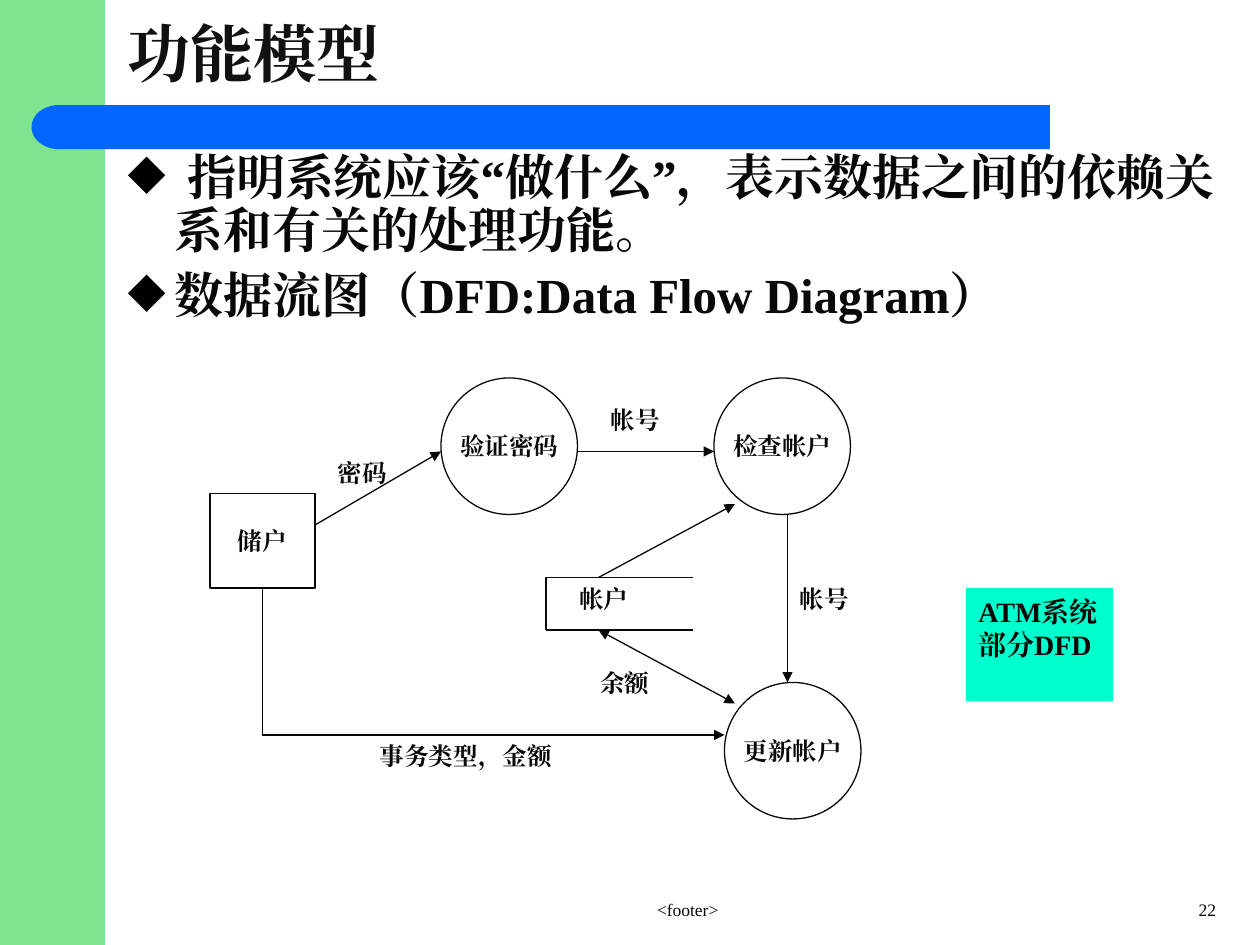
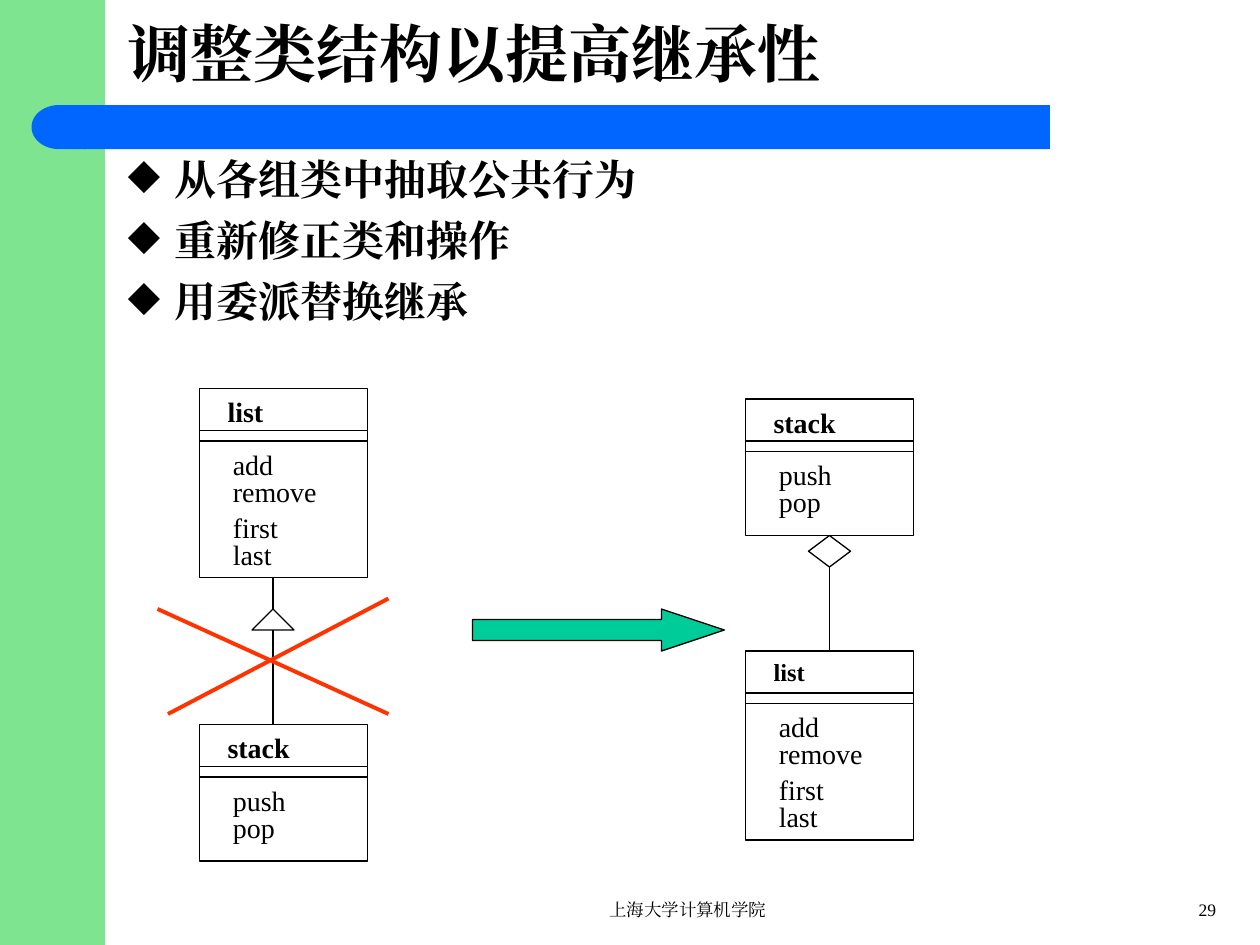
from dataclasses import dataclass

from lxml import etree
from pptx import Presentation
from pptx.dml.color import RGBColor
from pptx.enum.shapes import MSO_CONNECTOR, MSO_SHAPE
from pptx.enum.text import MSO_ANCHOR, PP_ALIGN
from pptx.oxml.ns import qn
from pptx.shapes.autoshape import Shape
from pptx.shapes.connector import Connector
from pptx.slide import Slide
from pptx.util import Cm, Length, Pt

RECT, OVAL = MSO_SHAPE.RECTANGLE, MSO_SHAPE.OVAL
DELAY, TRIANGLE = MSO_SHAPE.FLOWCHART_DELAY, MSO_SHAPE.ISOSCELES_TRIANGLE
DIAMOND, ARROW = MSO_SHAPE.DIAMOND, MSO_SHAPE.RIGHT_ARROW
STRAIGHT = MSO_CONNECTOR.STRAIGHT
LEFT, CENTER, RIGHT = PP_ALIGN.LEFT, PP_ALIGN.CENTER, PP_ALIGN.RIGHT
TOP, MIDDLE = MSO_ANCHOR.TOP, MSO_ANCHOR.MIDDLE

FONT = "Times New Roman"
COLORS = {
    "side": "7EE48F", "band": "0066FF", "heading": "111111", "ink": "080808",
    "black": "000000", "white": "FFFFFF", "note": "00FFCC", "change": "00CC99",
    "cross": "FF3300",
}
UNITS_PER_INCH = 12  # every slide is laid out on a grid of 120 x 90 units
SIDE_TOP, SIDE_BOTTOM = 0, 2

Box = tuple[float, float, float, float]
Point = tuple[float, float]


@dataclass(frozen=True)
class TextStyle:
    size: float
    color: str = "black"
    bold: bool = False
    align: PP_ALIGN = LEFT
    anchor: MSO_ANCHOR = TOP
    wrap: bool = True
    before: float = 0
    line_spacing: float | None = None
    bullet: bool = False


@dataclass(frozen=True)
class Frame:
    title: str
    title_color: str
    points: list[str]
    points_style: TextStyle
    points_height: float
    footer: str
    number: str
    footer_color: str


@dataclass(frozen=True)
class Node:
    name: str
    kind: MSO_SHAPE
    box: Box


@dataclass(frozen=True)
class Flow:
    start: Point
    end: Point
    head: bool = False
    tail: bool = True


@dataclass(frozen=True)
class Label:
    text: str
    left: float
    top: float
    width: float


@dataclass(frozen=True)
class ClassBox:
    name: str
    left: float
    top: float
    height: float
    operations: list[str]
    name_size: float = 16


NODE_STYLE = TextStyle(14, "ink", True, CENTER, MIDDLE, wrap=False)
LABEL_STYLE = TextStyle(14, "ink", True, before=8.8)
NOTE_STYLE = TextStyle(16, "ink", True, before=10)
OPERATION_STYLE = TextStyle(16, before=10)

FUNCTION_FRAME = Frame(
    "功能模型", "heading",
    [" 指明系统应该“做什么”，表示数据之间的依赖关系和有关的处理功能。",
     "数据流图（DFD:Data Flow Diagram）"],
    TextStyle(28, "ink", True, before=7, line_spacing=0.9, bullet=True), 18.2,
    "<footer>", "22", "ink")
INHERITANCE_FRAME = Frame(
    "调整类结构以提高继承性", "black",
    ["从各组类中抽取公共行为", "重新修正类和操作", "用委派替换继承"],
    TextStyle(24, "black", True, before=6, bullet=True), 21,
    "上海大学计算机学院", "29", "black")

CUSTOMER = Node("储户", RECT, (20, 47, 10, 9))
PROCESSES = [
    Node("验证密码", OVAL, (42, 36, 13, 13)),
    Node("检查帐户", OVAL, (68, 36, 13, 13)),
    Node("更新帐户", OVAL, (69, 65, 13, 13)),
]
FLOWS = [
    Flow((30, 50), (42, 43)),
    Flow((55, 43), (68, 43)),
    Flow((57, 55), (70, 48)),
    Flow((75, 49), (75, 65)),
    Flow((25, 70), (69, 70)),
    Flow((57, 60), (70, 67), head=True),
]
ACCOUNT_STORE = [(66, 55), (52, 55), (52, 60), (66, 60)]
FLOW_LABELS = [
    Label("密码", 31, 43, 8),
    Label("帐号", 57, 38, 9),
    Label("帐户", 54, 55, 8),
    Label("帐号", 75, 55, 9),
    Label("余额", 56, 63, 9),
    Label("事务类型，金额", 35, 70, 21),
]

LIST_OPERATIONS = ["add", "remove", "first", "last"]
STACK_OPERATIONS = ["push", "pop"]
OPERATION_OFFSETS = [0, 2.6, 6, 8.6]
CLASS_WIDTH = 16


def grid(units: float) -> Length:
    return Cm(units * 2.54 / UNITS_PER_INCH)


def rgb(color: str) -> RGBColor:
    return RGBColor.from_string(COLORS[color])


def write(shape: Shape, paragraphs: list[str], style: TextStyle) -> None:
    frame = shape.text_frame
    frame.word_wrap = style.wrap
    frame.vertical_anchor = style.anchor
    for index, text in enumerate(paragraphs):
        paragraph = frame.add_paragraph() if index else frame.paragraphs[0]
        paragraph.alignment = style.align
        paragraph.space_before = Pt(style.before)
        if style.line_spacing:
            paragraph.line_spacing = style.line_spacing
        if style.bullet:
            add_bullet(paragraph)
        run = paragraph.add_run()
        run.text = text
        run.font.name = FONT
        run.font.size = Pt(style.size)
        run.font.bold = style.bold
        run.font.color.rgb = rgb(style.color)
        east_asian = etree.SubElement(run.font._element, qn("a:ea"))
        east_asian.set("typeface", FONT)


def add_bullet(paragraph) -> None:
    properties = paragraph._p.get_or_add_pPr()
    properties.set("marL", str(Cm(0.95)))
    properties.set("indent", str(-Cm(0.95)))
    color = etree.SubElement(properties, qn("a:buClr"))
    etree.SubElement(color, qn("a:srgbClr")).set("val", COLORS["black"])
    etree.SubElement(properties, qn("a:buChar")).set("char", "◆")


def add_text(slide: Slide, box: Box, paragraphs: list[str], style: TextStyle) -> None:
    write(slide.shapes.add_textbox(*map(grid, box)), paragraphs, style)


def add_figure(slide: Slide, kind: MSO_SHAPE, box: Box,
               fill: str | None = None, line: str | None = None) -> Shape:
    shape = slide.shapes.add_shape(kind, *map(grid, box))
    shape.shadow.inherit = False
    if fill:
        shape.fill.solid()
        shape.fill.fore_color.rgb = rgb(fill)
    else:
        shape.fill.background()
    if line:
        shape.line.color.rgb = rgb(line)
        shape.line.width = Pt(0.75)
    else:
        shape.line.fill.background()
    return shape


def add_line(slide: Slide, start: Point, end: Point, color: str = "black",
             width: float = 0.75, head: bool = False, tail: bool = False) -> Connector:
    line = slide.shapes.add_connector(STRAIGHT, *map(grid, (*start, *end)))
    line.line.color.rgb = rgb(color)
    line.line.width = Pt(width)
    outline = line.line._get_or_add_ln()
    for tag, wanted in (("a:headEnd", head), ("a:tailEnd", tail)):
        if wanted:
            etree.SubElement(outline, qn(tag)).set("type", "triangle")
    etree.SubElement(line._element.spPr, qn("a:effectLst"))
    return line


def add_framed_slide(deck, frame: Frame) -> Slide:
    """Add a blank slide with side bar, band, title, points and footer."""
    slide = deck.slides.add_slide(deck.slide_layouts[6])
    add_figure(slide, RECT, (0, 0, 10, 90), "side")
    add_figure(slide, RECT, (8, 10, 92, 4.2), "band")
    add_figure(slide, DELAY, (3, 10, 5.2, 4.2), "band").rotation = 180
    add_text(slide, (11, 0, 104, 10), [frame.title],
             TextStyle(36, frame.title_color, True, anchor=MIDDLE))
    add_text(slide, (11, 14, 107, frame.points_height), frame.points, frame.points_style)
    add_text(slide, (45, 85, 41, 3), [frame.footer],
             TextStyle(10, frame.footer_color, align=CENTER))
    add_text(slide, (108, 85, 9, 3), [frame.number],
             TextStyle(10, frame.footer_color, align=RIGHT))
    return slide


def add_node(slide: Slide, node: Node) -> Shape:
    shape = add_figure(slide, node.kind, node.box, "white", "ink")
    write(shape, [node.name], NODE_STYLE)
    return shape


def add_class(slide: Slide, item: ClassBox) -> Shape:
    """Draw a class with its name, an empty attribute row and its operations."""
    outline = add_figure(slide, RECT, (item.left, item.top, CLASS_WIDTH, item.height),
                         line="black")
    for row in (item.top + 4, item.top + 5):
        add_line(slide, (item.left, row), (item.left + CLASS_WIDTH, row))
    add_text(slide, (item.left + 1.5, item.top, 12, 4.4), [item.name],
             TextStyle(item.name_size, bold=True, before=item.name_size * 0.625))
    for operation, offset in zip(item.operations, OPERATION_OFFSETS):
        add_text(slide, (item.left + 2, item.top + 5 + offset, 12, 4.4),
                 [operation], OPERATION_STYLE)
    return outline


def build_function_model(deck) -> None:
    slide = add_framed_slide(deck, FUNCTION_FRAME)
    customer = add_node(slide, CUSTOMER)
    for process in PROCESSES:
        add_node(slide, process)
    for start, end in zip(ACCOUNT_STORE, ACCOUNT_STORE[1:]):
        add_line(slide, start, end, "ink")
    add_line(slide, (25, 56), (25, 70), "ink").begin_connect(customer, SIDE_BOTTOM)
    for flow in FLOWS:
        add_line(slide, flow.start, flow.end, "ink", head=flow.head, tail=flow.tail)
    for label in FLOW_LABELS:
        add_text(slide, (label.left, label.top, label.width, 4), [label.text], LABEL_STYLE)
    note = add_figure(slide, RECT, (92, 56, 14, 10.8), "note")
    write(note, ["ATM系统部分DFD"], NOTE_STYLE)


def build_inheritance(deck) -> None:
    slide = add_framed_slide(deck, INHERITANCE_FRAME)
    add_class(slide, ClassBox("list", 19, 37, 18, LIST_OPERATIONS))
    add_class(slide, ClassBox("stack", 19, 69, 13, STACK_OPERATIONS))
    add_line(slide, (26, 55), (26, 58))
    add_figure(slide, TRIANGLE, (24, 58, 4, 2), line="black")
    add_line(slide, (26, 60), (26, 69))
    for start, end in (((15, 58), (37, 68)), ((37, 57), (16, 68))):
        add_line(slide, start, end, "cross", 2.25)

    part = add_class(slide, ClassBox("list", 71, 62, 18, LIST_OPERATIONS, 14))
    add_class(slide, ClassBox("stack", 71, 38, 13, STACK_OPERATIONS))
    aggregation = add_figure(slide, DIAMOND, (77, 51, 4, 3), line="black")
    delegation = add_line(slide, (79, 54), (79, 62))
    delegation.begin_connect(aggregation, SIDE_BOTTOM)
    delegation.end_connect(part, SIDE_TOP)

    change = add_figure(slide, ARROW, (45, 58, 24, 4), "change", "black")
    change.adjustments[0], change.adjustments[1] = 0.5, 1.5


def main() -> None:
    deck = Presentation()
    deck.slide_width, deck.slide_height = grid(120), grid(90)
    build_function_model(deck)
    build_inheritance(deck)
    deck.save("out.pptx")


if __name__ == "__main__":
    main()
